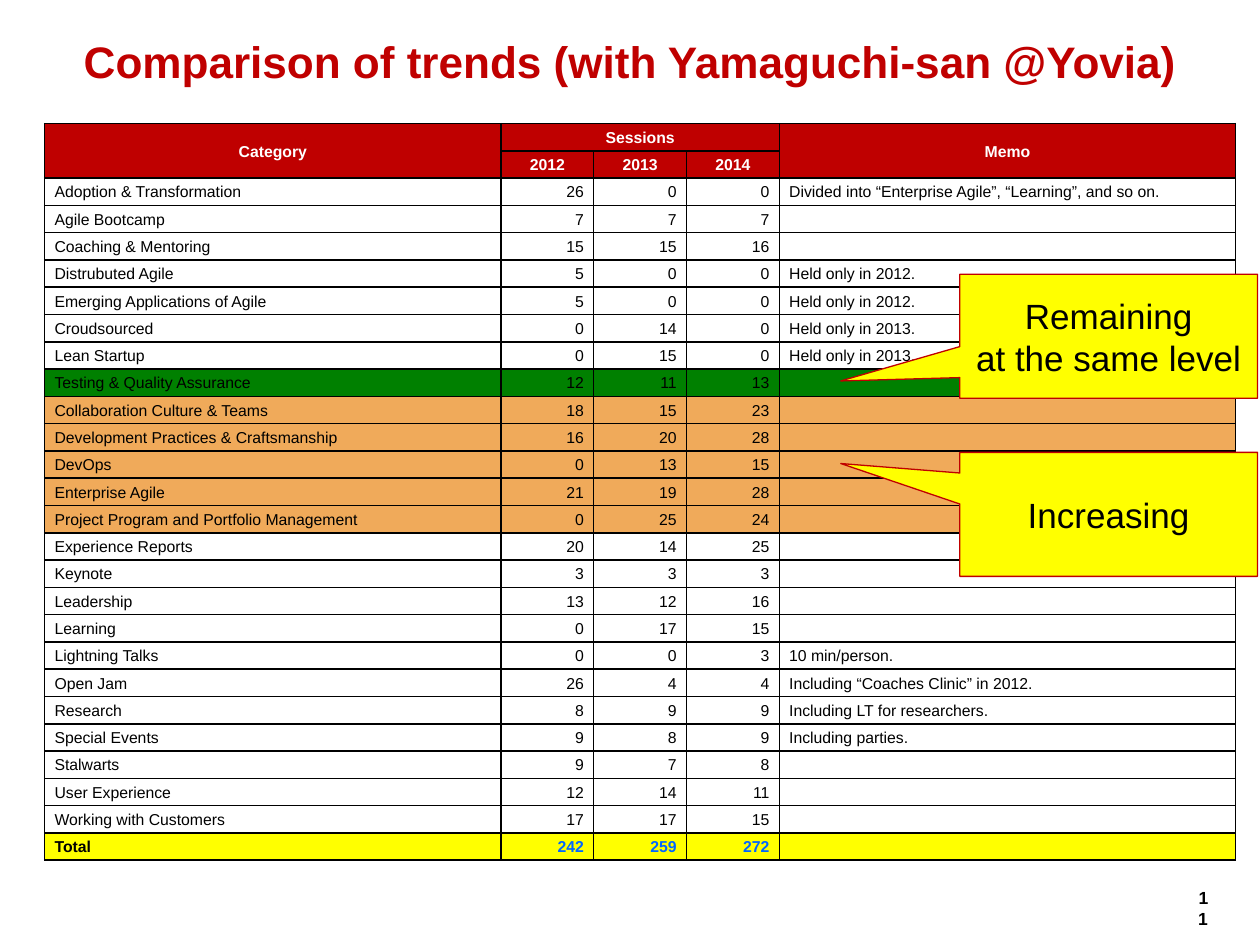
from lxml.etree import SubElement
from pptx import Presentation
from pptx.dml.color import RGBColor
from pptx.enum.shapes import MSO_SHAPE
from pptx.enum.text import MSO_ANCHOR, PP_ALIGN
from pptx.oxml.ns import qn
from pptx.util import Cm, Pt

FONT = "Arial"
BLACK = RGBColor(0x00, 0x00, 0x00)
WHITE = RGBColor(0xFF, 0xFF, 0xFF)
RED = RGBColor(0xC0, 0x00, 0x00)
HEAD = RGBColor(0xBF, 0x00, 0x00)
GREEN = RGBColor(0x00, 0x80, 0x00)
ORANGE = RGBColor(0xF0, 0xAA, 0x5A)
YELLOW = RGBColor(0xFF, 0xFF, 0x00)
BLUE = RGBColor(0x00, 0x66, 0xFF)

TITLE = "Comparison of trends (with Yamaguchi-san @Yovia)"
PAGE = "11"
HEADS = [
    ("Category", "Sessions", "", "", "Memo"),
    ("", "2012", "2013", "2014", ""),
]
MERGES = [((0, 0), (1, 0)), ((0, 1), (0, 3)), ((0, 4), (1, 4))]
ROWS = [
    ("Adoption & Transformation", 26, 0, 0,
     "Divided into “Enterprise Agile”, “Learning”, and so on."),
    ("Agile Bootcamp", 7, 7, 7, ""),
    ("Coaching & Mentoring", 15, 15, 16, ""),
    ("Distrubuted Agile", 5, 0, 0, "Held only in 2012."),
    ("Emerging Applications of Agile", 5, 0, 0, "Held only in 2012."),
    ("Croudsourced", 0, 14, 0, "Held only in 2013."),
    ("Lean Startup", 0, 15, 0, "Held only in 2013."),
    ("Testing & Quality Assurance", 12, 11, 13, ""),
    ("Collaboration Culture & Teams", 18, 15, 23, ""),
    ("Development Practices & Craftsmanship", 16, 20, 28, ""),
    ("DevOps", 0, 13, 15, ""),
    ("Enterprise Agile", 21, 19, 28, ""),
    ("Project Program and Portfolio Management", 0, 25, 24, ""),
    ("Experience Reports", 20, 14, 25, ""),
    ("Keynote", 3, 3, 3, ""),
    ("Leadership", 13, 12, 16, ""),
    ("Learning", 0, 17, 15, ""),
    ("Lightning Talks", 0, 0, 3, "10 min/person."),
    ("Open Jam", 26, 4, 4, "Including “Coaches Clinic” in 2012."),
    ("Research", 8, 9, 9, "Including LT for researchers."),
    ("Special Events", 9, 8, 9, "Including parties."),
    ("Stalwarts", 9, 7, 8, ""),
    ("User Experience", 12, 14, 11, ""),
    ("Working with Customers", 17, 17, 15, ""),
    ("Total", 242, 259, 272, ""),
]
FILLS = {
    "Testing & Quality Assurance": GREEN,
    "Collaboration Culture & Teams": ORANGE,
    "Development Practices & Craftsmanship": ORANGE,
    "DevOps": ORANGE,
    "Enterprise Agile": ORANGE,
    "Project Program and Portfolio Management": ORANGE,
    "Total": YELLOW,
}
# lines, top in cm, pointer tip relative to the box
CALLS = [
    (["Remaining", "at the same level"], 5.53, (-0.9, 0.36)),
    (["Increasing"], 9.12, (-0.9, -0.41)),
]
WIDTHS = [9.2, 1.87, 1.87, 1.87, 9.2]
ROW_H = 0.55


def write(para, text, size, color, bold=False, align=PP_ALIGN.LEFT):
    para.alignment = align
    run = para.add_run()
    run.text = text
    font = run.font
    font.name, font.size, font.bold = FONT, Pt(size), bold
    font.color.rgb = color


def edge(cell):
    """Draw a thin black border on all four sides; call before filling."""
    props = cell._tc.get_or_add_tcPr()
    for side in ("lnL", "lnR", "lnT", "lnB"):
        line = SubElement(props, qn(f"a:{side}"), w=str(Pt(1)))
        paint = SubElement(line, qn("a:solidFill"))
        SubElement(paint, qn("a:srgbClr"), val=str(BLACK))


def set_cell(cell, value, fill, color, bold, align):
    cell.margin_left = cell.margin_right = Cm(0.2)
    cell.margin_top, cell.margin_bottom = Cm(0.03), 0
    cell.vertical_anchor = MSO_ANCHOR.MIDDLE
    edge(cell)
    if fill is None:
        cell.fill.background()
    else:
        cell.fill.solid()
        cell.fill.fore_color.rgb = fill
    para = cell.text_frame.paragraphs[0]
    if value == "":
        # keeps an empty cell from growing to the default text size
        SubElement(para._p, qn("a:endParaRPr"), sz="900")
    else:
        write(para, str(value), 9, color, bold, align)


def add_grid(slide):
    count = len(HEADS) + len(ROWS)
    frame = slide.shapes.add_table(count, len(WIDTHS), Cm(0.9), Cm(2.49),
                                   Cm(sum(WIDTHS)), Cm(ROW_H * count))
    table = frame.table
    table.first_row = table.horz_banding = False
    for col, width in zip(table.columns, WIDTHS):
        col.width = Cm(width)
    for row in table.rows:
        row.height = Cm(ROW_H)
    for r, values in enumerate(HEADS):
        for c, value in enumerate(values):
            set_cell(table.cell(r, c), value, HEAD, WHITE, True,
                     PP_ALIGN.CENTER)
    for r, values in enumerate(ROWS, len(HEADS)):
        total = values[0] == "Total"
        for c, value in enumerate(values):
            number = isinstance(value, int)
            set_cell(table.cell(r, c), value, FILLS.get(values[0]),
                     BLUE if total and number else BLACK, total,
                     PP_ALIGN.RIGHT if number else PP_ALIGN.LEFT)
    for start, end in MERGES:
        table.cell(*start).merge(table.cell(*end))


def add_call(slide, lines, top, tip):
    shape = slide.shapes.add_shape(MSO_SHAPE.RECTANGULAR_CALLOUT,
                                   Cm(19.35), Cm(top), Cm(6), Cm(2.5))
    shape.shadow.inherit = False
    shape.adjustments[0], shape.adjustments[1] = tip
    shape.fill.solid()
    shape.fill.fore_color.rgb = YELLOW
    shape.line.color.rgb = RED
    shape.line.width = Pt(0.75)
    frame = shape.text_frame
    frame.word_wrap = False
    frame.vertical_anchor = MSO_ANCHOR.MIDDLE
    for i, line in enumerate(lines):
        para = frame.add_paragraph() if i else frame.paragraphs[0]
        write(para, line, 20, BLACK, align=PP_ALIGN.CENTER)


def main():
    deck = Presentation()
    deck.slide_width, deck.slide_height = Cm(25.4), Cm(19.05)
    slide = deck.slides.add_slide(deck.slide_layouts[5])

    title = slide.shapes.title
    title.left, title.top = Cm(1), Cm(0.72)
    title.width, title.height = Cm(23.4), Cm(1)
    title.text_frame.vertical_anchor = MSO_ANCHOR.MIDDLE
    write(title.text_frame.paragraphs[0], TITLE, 25.2, RED, True,
          PP_ALIGN.CENTER)

    add_grid(slide)
    for call in CALLS:
        add_call(slide, *call)

    page = slide.shapes.add_textbox(Cm(23.9), Cm(17.75), Cm(0.7), Cm(0.7))
    page.text_frame.word_wrap = True
    write(page.text_frame.paragraphs[0], PAGE, 10, BLACK, True,
          PP_ALIGN.RIGHT)
    deck.save("out.pptx")


if __name__ == "__main__":
    main()
